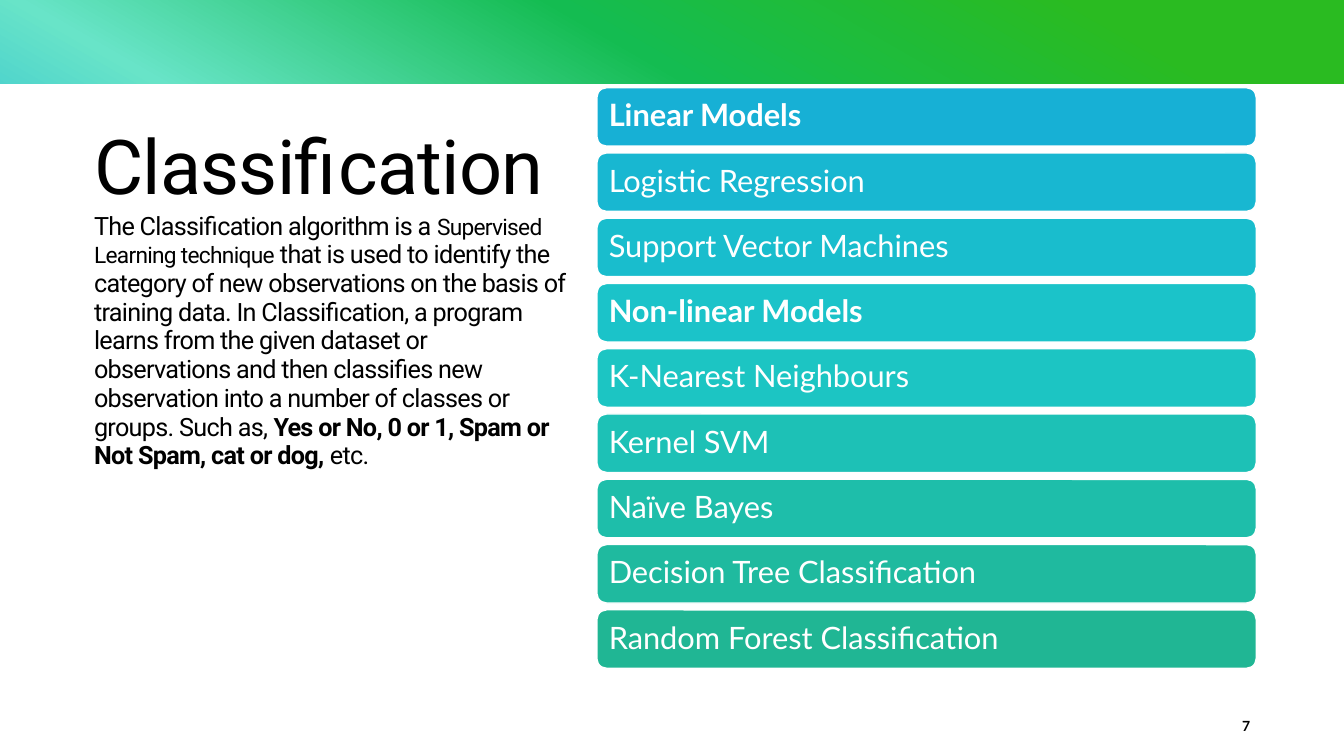
from lxml import etree
from pptx import Presentation
from pptx.dml.color import RGBColor
from pptx.enum.shapes import MSO_SHAPE
from pptx.enum.text import MSO_ANCHOR, MSO_AUTO_SIZE, PP_ALIGN
from pptx.oxml.ns import qn
from pptx.util import Inches, Pt

RECT, ROUNDED = MSO_SHAPE.RECTANGLE, MSO_SHAPE.ROUNDED_RECTANGLE
LEFT, RIGHT = PP_ALIGN.LEFT, PP_ALIGN.RIGHT
MIDDLE, BOTTOM = MSO_ANCHOR.MIDDLE, MSO_ANCHOR.BOTTOM
TITLE_ONLY = 5

HEADING = "Classification"
DEFINITION = [
    ("The Classification algorithm is a ", 18, False),
    ("Supervised Learning technique", 16.2, False),
    (" that is used to identify the category of new observations on the basis of "
     "training data. In Classification, a program learns from the given dataset or "
     "observations and then classifies new observation into a number of classes or "
     "groups. Such as, ", 18, False),
    ("Yes or No, 0 or 1, Spam or Not Spam, cat or dog,", 18, True),
    (" etc.", 18, False),
]
MODELS = [
    ("Linear Models", True, "17B0D5"),
    ("Logistic Regression", False, "18B7D1"),
    ("Support Vector Machines", False, "19BDCD"),
    ("Non-linear Models", True, "1BC3C9"),
    ("K-Nearest Neighbours", False, "1CC5C3"),
    ("Kernel SVM", False, "1DC1B6"),
    ("Naïve Bayes", False, "1EBEAA"),
    ("Decision Tree Classification", False, "1FBA9F"),
    ("Random Forest Classification", False, "20B694"),
]
PAGE = "7"
COLORS = {"paper": "FFFFFF", "ink": "000000"}
BANNER_STOPS = [(10, "2ABB21"), (30, "14BC51"), (50, "68E4C8"), (70, "17B0D5"), (90, "2973E7")]
BANNER_ANGLE = 120

WIDTH, HEIGHT = 13.33, 7.5
BANNER_HEIGHT = HEIGHT / 9
MARGIN = WIDTH / 16
LIST_LEFT, LIST_TOP, LIST_WIDTH = 5.92, 0.87, 6.54
ROW_HEIGHT, ROW_STEP = 0.58, 0.6475


def box(left, top, width, height):
    return [Inches(v) for v in (left, top, width, height)]


def add_panel(slide, preset, place, color):
    panel = slide.shapes.add_shape(preset, *box(*place))
    panel.shadow.inherit = False
    panel.fill.solid()
    panel.fill.fore_color.rgb = RGBColor.from_string(color)
    panel.line.fill.background()
    return panel


def add_run(paragraph, text, size, font, color, bold=False):
    run = paragraph.add_run()
    run.text = text
    run.font.size = Pt(size)
    run.font.name = font
    run.font.bold = bold
    run.font.color.rgb = RGBColor.from_string(color)
    return run


def set_gradient(panel, stops, angle):
    panel.fill.gradient()
    gradient = panel._element.spPr.find(qn("a:gradFill"))
    for child in list(gradient):
        gradient.remove(child)
    stop_list = etree.SubElement(gradient, qn("a:gsLst"))
    for position, color in stops:
        stop = etree.SubElement(stop_list, qn("a:gs"), pos=str(position * 1000))
        etree.SubElement(stop, qn("a:srgbClr"), val=color)
    etree.SubElement(gradient, qn("a:lin"), ang=str(angle * 60000), scaled="0")


def add_banner(slide):
    banner = add_panel(slide, RECT, (0, 0, WIDTH, HEIGHT), COLORS["paper"])
    set_gradient(banner, BANNER_STOPS, BANNER_ANGLE)
    add_panel(slide, RECT, (0, BANNER_HEIGHT, WIDTH, HEIGHT - BANNER_HEIGHT), COLORS["paper"])


def place_definition(slide):
    title = slide.shapes.title
    slide.shapes._spTree.append(title._element)
    title.left, title.top, title.width, title.height = box(MARGIN, 1.66, 4.88, 3.06)
    frame = title.text_frame
    frame.auto_size = MSO_AUTO_SIZE.NONE
    frame.word_wrap = True
    frame.vertical_anchor = BOTTOM
    paragraph = frame.paragraphs[0]
    paragraph.alignment = LEFT
    paragraph.line_spacing = 0.95
    runs = [add_run(paragraph, HEADING, 54, "Roboto", COLORS["ink"])]
    paragraph.add_line_break()
    runs += [add_run(paragraph, text, size, "Roboto", COLORS["ink"], bold)
             for text, size, bold in DEFINITION]
    for run in runs:
        run.font._element.set("spc", "-50")


def add_models(slide):
    for index, (name, bold, color) in enumerate(MODELS):
        place = (LIST_LEFT, LIST_TOP + index * ROW_STEP, LIST_WIDTH, ROW_HEIGHT)
        row = add_panel(slide, ROUNDED, place, color)
        row.line.color.rgb = RGBColor.from_string(COLORS["paper"])
        row.line.width = Pt(1)
        frame = row.text_frame
        frame.word_wrap = True
        frame.vertical_anchor = MIDDLE
        frame.margin_left = frame.margin_right = Inches(0.09)
        frame.margin_top = frame.margin_bottom = Inches(0.09)
        paragraph = frame.paragraphs[0]
        paragraph.alignment = LEFT
        paragraph.line_spacing = 0.9
        add_run(paragraph, name, 22, "Lato", COLORS["paper"], bold)


def add_page_number(slide):
    frame = slide.shapes.add_textbox(*box(WIDTH - MARGIN - 0.58, 7, 0.58, 0.4)).text_frame
    frame.word_wrap = True
    frame.vertical_anchor = MIDDLE
    paragraph = frame.paragraphs[0]
    paragraph.alignment = RIGHT
    paragraph.space_after = Pt(6)
    add_run(paragraph, PAGE, 10, "Lato", COLORS["ink"], True)


def main():
    deck = Presentation()
    deck.slide_width, deck.slide_height = Inches(WIDTH), Inches(HEIGHT)
    slide = deck.slides.add_slide(deck.slide_layouts[TITLE_ONLY])
    add_banner(slide)
    place_definition(slide)
    add_page_number(slide)
    add_models(slide)
    deck.save("out.pptx")


if __name__ == "__main__":
    main()
